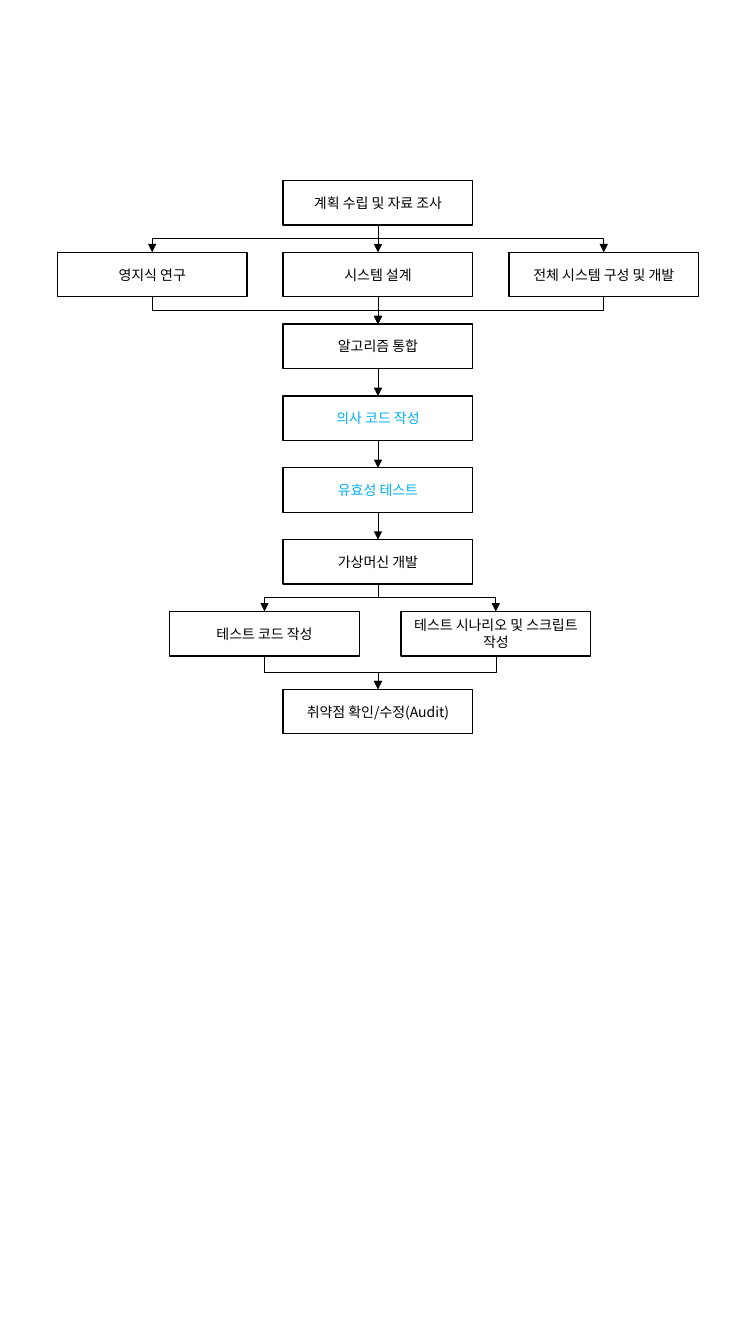
"""Draw a development workflow as a flowchart on one tall slide."""
from itertools import pairwise, product

from lxml import etree
from pptx import Presentation
from pptx import util as u
from pptx.dml.color import RGBColor
from pptx.enum import shapes, text
from pptx.oxml.ns import qn

BLACK = RGBColor(0x00, 0x00, 0x00)
BLUE = RGBColor(0x00, 0xB0, 0xF0)
FONT = "Noto Sans CJK KR"

# Each row: top in cm, then (label, centre offset in cm, text colour) per step.
FIRST_TOP, ROW_PITCH, LAST_GAP = 4.55, 1.81, 0.15
STEP_ROWS = [
    [("계획 수립 및 자료 조사", 0, BLACK)],
    [("영지식 연구", -5.69, BLACK), ("시스템 설계", 0, BLACK), ("전체 시스템 구성 및 개발", 5.69, BLACK)],
    [("알고리즘 통합", 0, BLACK)],
    [("의사 코드 작성", 0, BLUE)],
    [("유효성 테스트", 0, BLUE)],
    [("가상머신 개발", 0, BLACK)],
    [("테스트 코드 작성", -2.86, BLACK), ("테스트 시나리오 및 스크립트 작성", 2.97, BLACK)],
    [("취약점 확인/수정(Audit)", 0, BLACK)],
]
BOX_WIDTH, BOX_HEIGHT = u.Cm(4.78), u.Cm(1.12)
TOP_SITE, BOTTOM_SITE = 0, 2

presentation = Presentation()
presentation.slide_width, presentation.slide_height = u.Cm(19.05), u.Cm(33.87)
slide = presentation.slides.add_slide(presentation.slide_layouts[6])


def add_step(label, offset, color, top):
    """Add one outlined step box, centred at an offset from the slide's axis."""
    left = (presentation.slide_width - BOX_WIDTH) // 2 + u.Cm(offset)
    shape = slide.shapes.add_shape(shapes.MSO_SHAPE.RECTANGLE, left, top, BOX_WIDTH, BOX_HEIGHT)
    shape.shadow.inherit = False
    shape.fill.background()
    shape.line.color.rgb = BLACK
    shape.line.width = u.Pt(1)
    frame = shape.text_frame
    frame.text = label
    frame.word_wrap = True
    frame.vertical_anchor = text.MSO_ANCHOR.MIDDLE
    paragraph = frame.paragraphs[0]
    paragraph.alignment = text.PP_ALIGN.CENTER
    font = paragraph.runs[0].font
    font.name, font.size, font.color.rgb = FONT, u.Pt(10), color
    etree.SubElement(font._element, qn("a:ea")).set("typeface", FONT)
    return shape


def turn_elbow(connector):
    """Rotate an elbow so that it leaves and arrives vertically."""
    to_right = connector.end_x > connector.begin_x
    left, top, width, height = connector.left, connector.top, connector.width, connector.height
    connector.left = left + (width - height) // 2
    connector.top = top + (height - width) // 2
    connector.width, connector.height = height, width
    xfrm = connector._element.spPr.find(qn("a:xfrm"))
    xfrm.set("rot", str((270 if to_right else 90) * 60000))
    xfrm.set("flipH", "1" if to_right else "0")


def add_arrow(source, target):
    """Connect the bottom of one step to the top of the next."""
    straight = source.left == target.left
    kind = shapes.MSO_CONNECTOR.STRAIGHT if straight else shapes.MSO_CONNECTOR.ELBOW
    connector = slide.shapes.add_connector(kind, 0, 0, 0, 0)
    connector.begin_connect(source, BOTTOM_SITE)
    connector.end_connect(target, TOP_SITE)
    if not straight:
        turn_elbow(connector)
    connector.line.color.rgb = BLACK
    connector.line.width = u.Pt(0.5)
    etree.SubElement(connector.line._get_or_add_ln(), qn("a:tailEnd")).set("type", "triangle")
    etree.SubElement(connector._element.spPr, qn("a:effectLst"))


box_rows = []
for index, steps in enumerate(STEP_ROWS):
    gap = LAST_GAP if index == len(STEP_ROWS) - 1 else 0
    row_top = u.Cm(FIRST_TOP + index * ROW_PITCH + gap)
    box_rows.append([add_step(*step, row_top) for step in steps])

for sources, targets in pairwise(box_rows):
    for source, target in product(sources, targets):
        add_arrow(source, target)

presentation.save("out.pptx")
